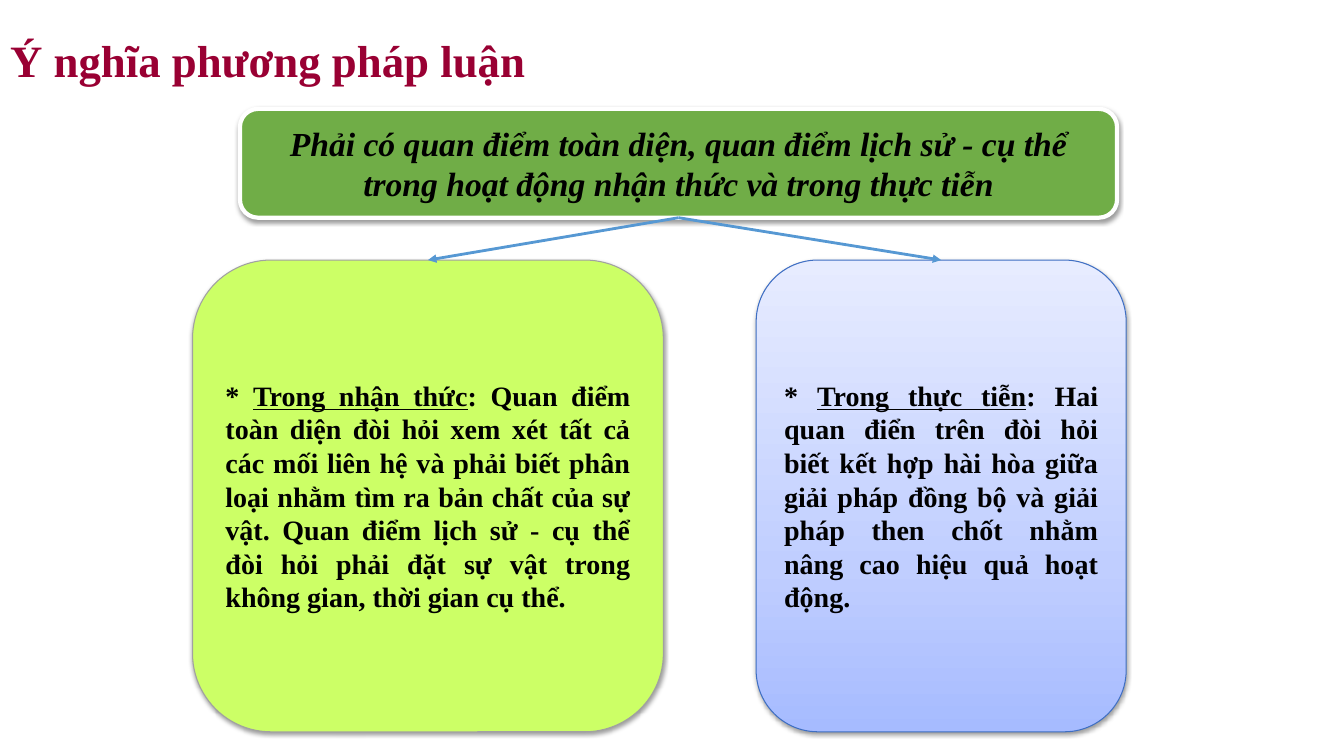
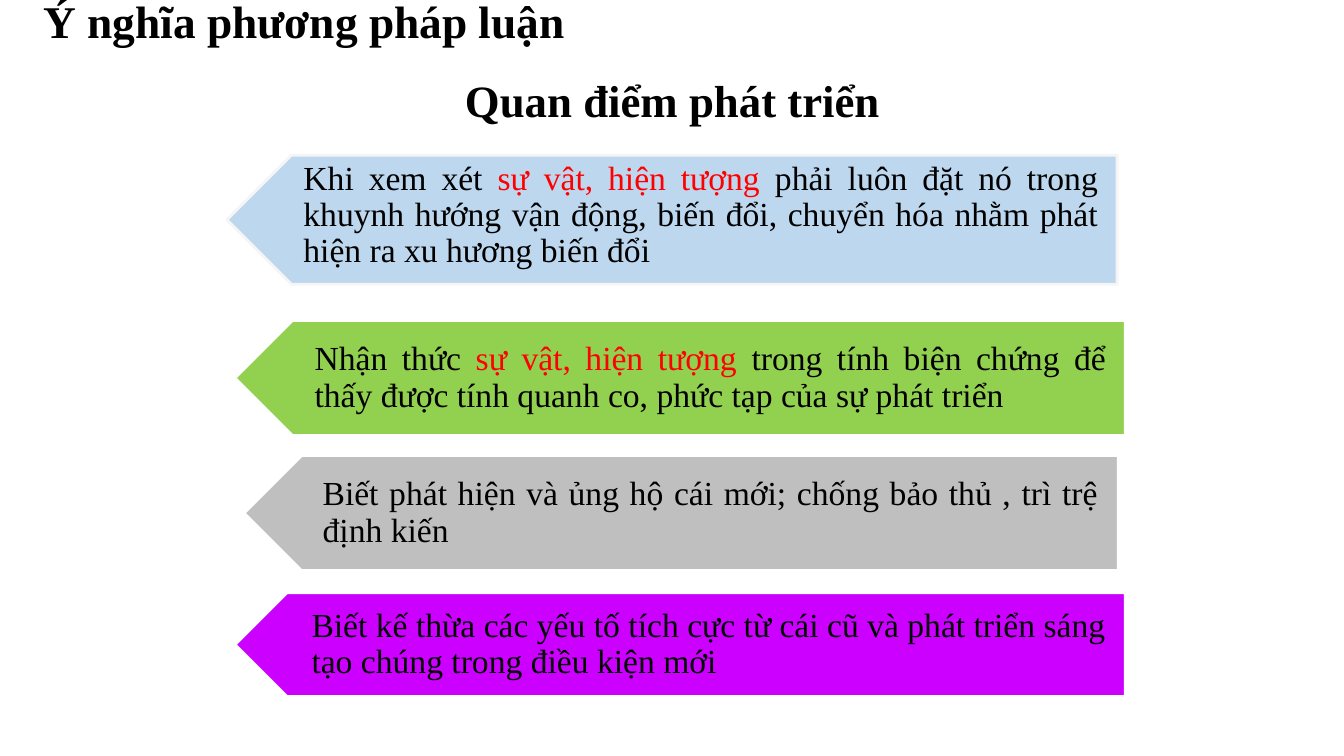
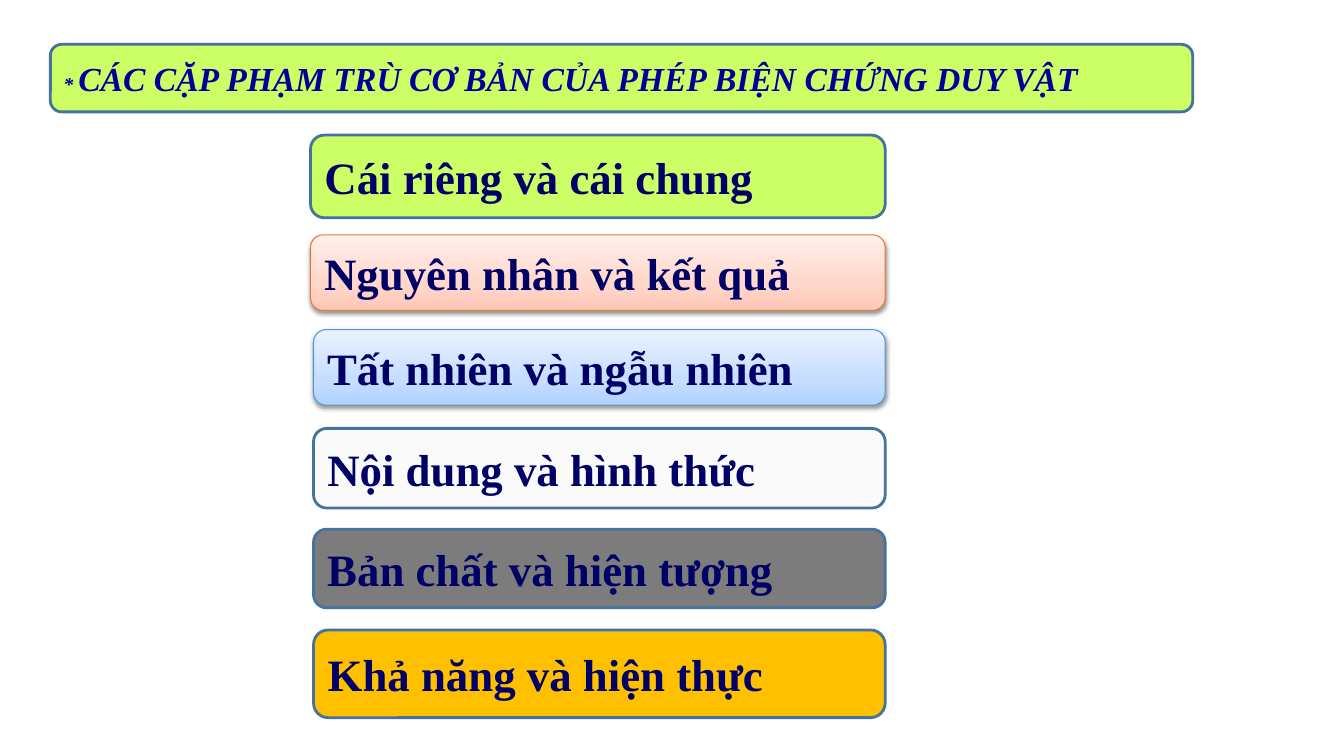
"""Build three slides on the method lessons of dialectics."""
from copy import deepcopy
from dataclasses import dataclass
from typing import NamedTuple, Optional

from lxml.etree import SubElement
from pptx import Presentation
from pptx.dml.color import RGBColor
from pptx.enum.shapes import MSO_CONNECTOR, MSO_SHAPE
from pptx.enum.text import MSO_ANCHOR, MSO_AUTO_SIZE, PP_ALIGN
from pptx.oxml.ns import qn
from pptx.util import Inches, Pt


@dataclass(frozen=True)
class Theme:
    font: str = "Times New Roman"
    black: str = "000000"
    white: str = "FFFFFF"
    wine: str = "990033"
    red: str = "FF0000"
    navy: str = "000066"
    blue: str = "000099"
    lime: str = "CCFF66"
    green: str = "70AD47"
    leaf: str = "92D050"
    sky: str = "BDD7EE"
    pale: str = "F5F5F5"
    mist: str = "FAFAFA"
    ash: str = "BFBFBF"
    gray: str = "7C7C7C"
    stone: str = "A1A1A1"
    violet: str = "CC00FF"
    gold: str = "FFC000"
    steel: str = "43739E"
    azure: str = "5698D3"
    cobalt: str = "3F6FC3"
    orange: str = "EC792B"
    lilac: tuple = ("A6BBFF", "C0CEFF", "E7ECFF")
    peach: tuple = ("FFC7B6", "FFD7CB", "FFF0EB")
    water: tuple = ("B0D2FF", "C7DEFF", "EAF2FF")
    stops: tuple = (0, 0.35, 1)
    head: float = 32
    title: float = 32.4
    body: float = 24
    note: float = 20
    mark: float = 14
    tight: float = 0.9


THEME = Theme()


class Box(NamedTuple):
    left: float
    top: float
    width: float
    height: float


class Piece(NamedTuple):
    text: str
    color: Optional[str] = None
    size: Optional[float] = None
    under: bool = False


@dataclass(frozen=True)
class Look:
    size: float
    color: str = THEME.black
    bold: bool = True
    slant: bool = False
    align: PP_ALIGN = PP_ALIGN.LEFT
    space: Optional[float] = None


@dataclass(frozen=True)
class Card:
    box: Box
    fill: str | tuple
    line: str
    width: float
    text: tuple
    look: Look
    shade: bool = False


@dataclass(frozen=True)
class Plate:
    box: Box
    words: Box
    fill: str
    text: tuple
    line: str = THEME.white


NOTE = Look(THEME.note, align=PP_ALIGN.JUSTIFY)
ITEM = Look(THEME.head, THEME.navy)
POINT = Look(THEME.body, bold=False, align=PP_ALIGN.JUSTIFY, space=THEME.tight)

RULE = Card(
    Box(2.38, 1.08, 8.7, 1.08), THEME.green, THEME.white, 3,
    (Piece("Phải có quan điểm toàn diện, quan điểm lịch sử - cụ thể trong hoạt động "
           "nhận thức và trong thực tiễn"),),
    Look(THEME.body, slant=True, align=PP_ALIGN.CENTER), True)

SIDES = (
    Card(Box(1.91, 2.58, 4.67, 4.68), THEME.lime, THEME.stone, 0.75,
         (Piece("* "), Piece("Trong nhận thức", under=True),
          Piece(": Quan điểm toàn diện đòi hỏi xem xét tất cả các mối liên hệ và phải "
                "biết phân loại nhằm tìm ra bản chất của sự vật. Quan điểm lịch sử - "
                "cụ thể đòi hỏi phải đặt sự vật trong không gian, thời gian cụ thể.")),
         NOTE, True),
    Card(Box(7.5, 2.58, 3.67, 4.68), THEME.lilac, THEME.cobalt, 0.75,
         (Piece("* "), Piece("Trong thực tiễn", under=True),
          Piece(": Hai quan điển trên đòi hỏi biết kết hợp hài hòa giữa giải pháp đồng "
                "bộ và giải pháp then chốt nhằm nâng cao hiệu quả hoạt động.")),
         NOTE, True),
)

THING = Piece("sự vật, hiện tượng ", THEME.red)
PLATES = (
    Plate(Box(2.25, 1.54, 8.83, 1.28), Box(2.51, 1.5, 8.57, 1.28), THEME.sky,
          (Piece("Khi xem xét "), THING,
           Piece("phải luôn đặt nó trong khuynh hướng vận động, biến đổi, chuyển hóa "
                 "nhằm phát hiện ra xu hương biến đổi")), THEME.pale),
    Plate(Box(2.33, 3.18, 8.83, 1.14), Box(2.62, 3.18, 8.54, 1.14), THEME.leaf,
          (Piece("Nhận thức "), THING,
           Piece("trong tính biện chứng để thấy được tính quanh co, phức tạp của sự "
                 "phát triển"))),
    Plate(Box(2.42, 4.52, 8.67, 1.14), Box(2.7, 4.52, 8.38, 1.14), THEME.ash,
          (Piece("Biết phát hiện và ủng hộ cái mới; chống bảo thủ , trì trệ định kiến"),)),
    Plate(Box(2.33, 5.88, 8.83, 1.03), Box(2.59, 5.88, 8.57, 1.03), THEME.violet,
          (Piece("Biết kế thừa các yếu tố tích cực từ cái cũ và phát triển sáng tạo "
                 "chúng trong điều kiện mới"),)),
)


def pair(box: Box, fill: str | tuple, text: str, line: str = THEME.steel,
         width: float = 2, shade: bool = False) -> Card:
    return Card(box, fill, line, width, (Piece(text),), ITEM, shade)


BANNER = Card(
    Box(0.5, 0.44, 11.33, 0.67), THEME.lime, THEME.steel, 2,
    (Piece("* ", size=THEME.mark),
     Piece("CÁC CẶP PHẠM TRÙ CƠ BẢN CỦA PHÉP BIỆN CHỨNG DUY VẬT")),
    Look(THEME.body, THEME.blue, slant=True))

PAIRS = (
    pair(Box(3.08, 1.34, 5.7, 0.82), THEME.lime, "Cái riêng và cái chung"),
    pair(Box(3.08, 2.33, 5.7, 0.75), THEME.peach, "Nguyên nhân và kết quả",
         THEME.orange, 0.75, True),
    pair(Box(3.11, 3.27, 5.67, 0.75), THEME.water, "Tất nhiên và ngẫu nhiên",
         THEME.azure, 0.75, True),
    pair(Box(3.11, 4.25, 5.67, 0.79), THEME.mist, "Nội dung và hình thức"),
    pair(Box(3.11, 5.25, 5.67, 0.78), THEME.gray, "Bản chất và hiện tượng"),
    pair(Box(3.11, 6.25, 5.67, 0.87), THEME.gold, "Khả năng và hiện thực"),
)


def place(box: Box) -> tuple:
    return tuple(Inches(n) for n in box)


def inset(frame, left: float, top: float, right: float, base: float) -> None:
    frame.margin_left, frame.margin_top = Inches(left), Inches(top)
    frame.margin_right, frame.margin_bottom = Inches(right), Inches(base)


def write(frame, text: tuple, look: Look, anchor=MSO_ANCHOR.MIDDLE) -> None:
    frame.word_wrap = True
    frame.vertical_anchor = anchor
    line = frame.paragraphs[0]
    line.alignment = look.align
    if look.space:
        line.line_spacing = look.space
    for piece in text:
        run = line.add_run()
        run.text = piece.text
        font = run.font
        font.name, font.size = THEME.font, Pt(piece.size or look.size)
        font.bold, font.italic = look.bold, look.slant
        font.underline = piece.under
        font.color.rgb = RGBColor.from_string(piece.color or look.color)


def paint(shape, fill: str | tuple, line: str, width: float) -> None:
    if isinstance(fill, str):
        shape.fill.solid()
        shape.fill.fore_color.rgb = RGBColor.from_string(fill)
    else:
        shape.fill.gradient()
        shape.fill.gradient_angle = 90
        first = next(shape.element.iter(qn("a:gs")))
        first.addnext(deepcopy(first))
        for stop, spot, tone in zip(shape.fill.gradient_stops, THEME.stops, fill):
            stop.position = spot
            stop.color.rgb = RGBColor.from_string(tone)
    shape.line.color.rgb = RGBColor.from_string(line)
    shape.line.width = Pt(width)
    shape.shadow.inherit = False


def cast(shape) -> None:
    glow = next(shape.element.iter(qn("a:effectLst")))
    drop = SubElement(glow, qn("a:outerShdw"), blurRad=str(Pt(3.1)),
                      dist=str(Pt(1.6)), dir="5400000", rotWithShape="0")
    tone = SubElement(drop, qn("a:srgbClr"), val=THEME.black)
    SubElement(tone, qn("a:alpha"), val="38000")


def add_card(slide, card: Card):
    shape = slide.shapes.add_shape(MSO_SHAPE.ROUNDED_RECTANGLE, *place(card.box))
    paint(shape, card.fill, card.line, card.width)
    if card.shade:
        cast(shape)
    write(shape.text_frame, card.text, card.look)
    return shape


def add_plate(slide, plate: Plate) -> None:
    group = slide.shapes.add_group_shape()
    shape = group.shapes.add_shape(MSO_SHAPE.PENTAGON, *place(plate.box))
    shape.rotation = 180
    paint(shape, plate.fill, plate.line, 2)
    frame = group.shapes.add_textbox(*place(plate.words)).text_frame
    inset(frame, 0.5, 0.1, 0.19, 0.1)
    write(frame, plate.text, POINT)


def add_arrow(slide, start, end) -> None:
    arrow = slide.shapes.add_connector(MSO_CONNECTOR.STRAIGHT, 0, 0, 0, 0)
    arrow.begin_connect(start, 2)
    arrow.end_connect(end, 0)
    arrow.line.color.rgb = RGBColor.from_string(THEME.azure)
    arrow.line.width = Pt(2)
    stroke = next(arrow.element.iter(qn("a:ln")))
    SubElement(stroke, qn("a:tailEnd"), type="triangle")
    SubElement(stroke.getparent(), qn("a:effectLst"))


def set_title(slide, box: Box, size: float, color: str, left: float, edge: float) -> None:
    title = slide.shapes.title
    title.left, title.top, title.width, title.height = place(box)
    frame = title.text_frame
    frame.auto_size = MSO_AUTO_SIZE.NONE
    inset(frame, left, edge, 0.1, edge)
    write(frame, (Piece("Ý nghĩa phương pháp luận"),),
          Look(size, color, space=THEME.tight))


def main() -> None:
    deck = Presentation()
    deck.slide_width, deck.slide_height = Inches(13.33), Inches(7.5)
    titled, blank = deck.slide_layouts[5], deck.slide_layouts[6]

    slide = deck.slides.add_slide(titled)
    set_title(slide, Box(0, 0, 10.67, 1.25), THEME.head, THEME.wine, 0.1, 0.05)
    rule = add_card(slide, RULE)
    for side in [add_card(slide, card) for card in SIDES]:
        add_arrow(slide, rule, side)

    slide = deck.slides.add_slide(titled)
    set_title(slide, Box(0.05, 0, 6.83, 0.47), THEME.title, THEME.black, 0.38, 0)
    label = slide.shapes.add_textbox(*place(Box(3.92, 0.67, 5.5, 0.64)))
    write(label.text_frame, (Piece("Quan điểm phát triển"),),
          Look(THEME.head, align=PP_ALIGN.CENTER), MSO_ANCHOR.TOP)
    for plate in PLATES:
        add_plate(slide, plate)

    slide = deck.slides.add_slide(blank)
    for card in (BANNER, *PAIRS):
        add_card(slide, card)

    deck.save("out.pptx")


if __name__ == "__main__":
    main()
